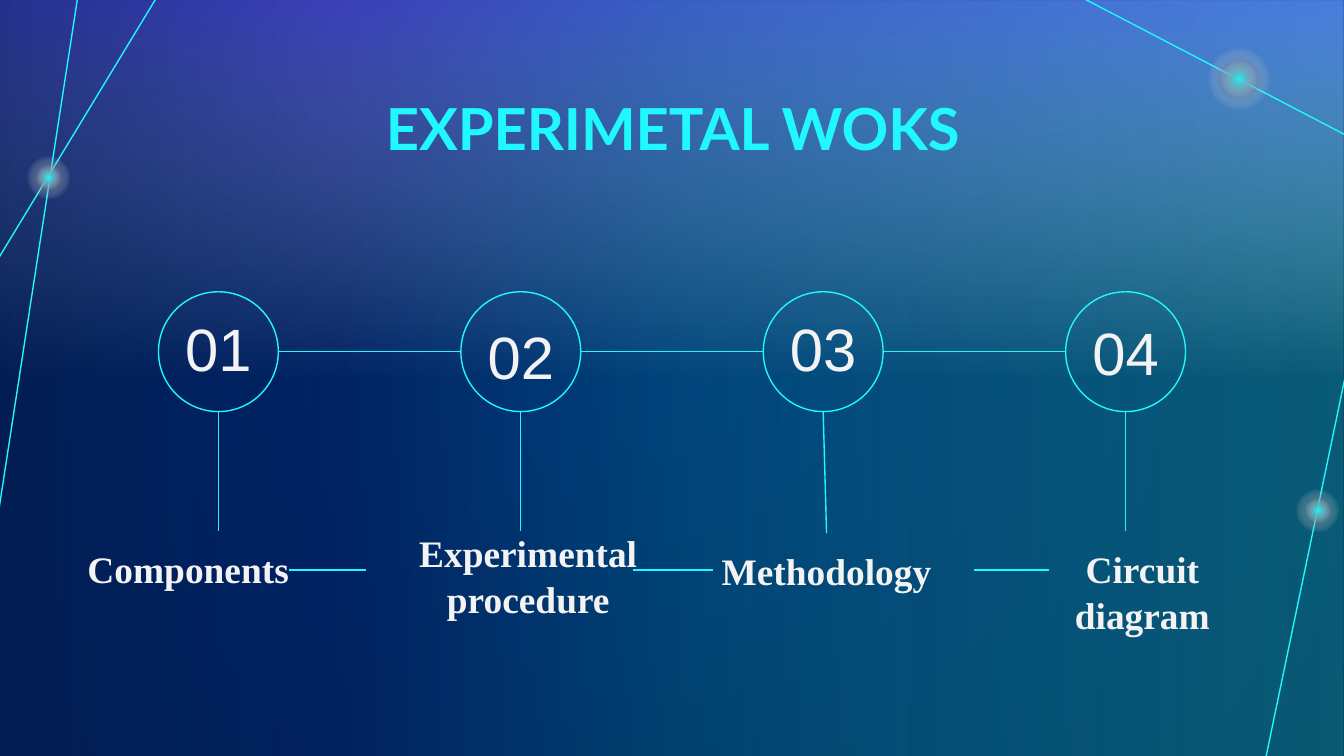
from lxml import etree
from pptx import Presentation
from pptx import util as u
from pptx.dml.color import RGBColor
from pptx.enum import shapes, text
from pptx.oxml.ns import qn

WIDTH, HEIGHT = 720, 405
CYAN, WHITE, NAVY, INK = "20F8FD", "F3F3F3", "012060", "00183A"
RADIAL = ('<a:path path="circle"><a:fillToRect l="50000" t="50000" '
          'r="50000" b="50000"/></a:path>')


def color(code):
    return RGBColor.from_string(code)


class Board:
    """Holds the style and the slide being drawn."""

    line_width = 0.75

    def __init__(self, slide):
        self.slide = slide

    def gradient(self, parent, stops, angle=None):
        """Swap the solid fill in parent for a linear or (no angle) radial one."""
        stop_xml = "".join(
            f'<a:gs pos="{pos * 1000}"><a:srgbClr val="{code}">'
            f'<a:alpha val="{opacity * 1000}"/></a:srgbClr></a:gs>'
            for pos, code, opacity in stops)
        shade = RADIAL if angle is None else f'<a:lin ang="{angle * 60000}" scaled="0"/>'
        fill = etree.fromstring(
            '<a:gradFill xmlns:a="http://schemas.openxmlformats.org/drawingml/2006/main" '
            f'rotWithShape="1"><a:gsLst>{stop_xml}</a:gsLst>{shade}</a:gradFill>')
        parent.replace(parent.find(qn("a:solidFill")), fill)

    def background(self, stops):
        self.slide.background.fill.solid()
        self.slide.background.fill.fore_color.rgb = color(INK)
        self.gradient(self.slide.element.find(".//" + qn("p:bgPr")), stops)

    def shape(self, kind, left, top, width, height, stops=None, angle=None):
        """A gradient shape without a line, or an outline when no stops are given."""
        item = self.slide.shapes.add_shape(
            kind, u.Pt(left), u.Pt(top), u.Pt(width), u.Pt(height))
        item.shadow.inherit = False
        if stops:
            item.fill.solid()
            self.gradient(item.element.spPr, stops, angle)
            item.line.fill.background()
        else:
            item.fill.background()
            item.line.color.rgb = color(CYAN)
            item.line.width = u.Pt(self.line_width)
        return item

    def circle(self, x, y, size, stops=None):
        return self.shape(shapes.MSO_SHAPE.OVAL, x - size / 2, y - size / 2,
                          size, size, stops)

    def glow(self, x, y, size):
        for code, scale in ((INK, 1), (CYAN, 0.59)):
            self.circle(x, y, size * scale,
                        [(0, code, 100), (50, WHITE, 0), (100, WHITE, 0)])

    def line(self, x1, y1, x2, y2):
        item = self.slide.shapes.add_connector(
            shapes.MSO_CONNECTOR.STRAIGHT, u.Pt(x1), u.Pt(y1), u.Pt(x2), u.Pt(y2))
        item.line.color.rgb = color(CYAN)
        item.line.width = u.Pt(self.line_width)
        etree.SubElement(item.element.spPr, qn("a:effectLst"))
        return item

    def set_text(self, item, words, size, font, code, bold, inset):
        frame = item.text_frame
        frame.word_wrap = True
        frame.auto_size = text.MSO_AUTO_SIZE.NONE
        frame.vertical_anchor = text.MSO_ANCHOR.TOP
        frame.margin_left = frame.margin_right = u.Pt(7.2)
        frame.margin_top = frame.margin_bottom = u.Pt(inset)
        frame.text = words
        paragraph = frame.paragraphs[0]
        paragraph.alignment = text.PP_ALIGN.CENTER
        paragraph.font.size = u.Pt(size)
        paragraph.font.name = font
        paragraph.font.bold = bold
        paragraph.font.color.rgb = color(code)
        return paragraph

    def title(self, words, left, top, width, height):
        heading = self.slide.shapes.title
        heading.left, heading.top = u.Pt(left), u.Pt(top)
        heading.width, heading.height = u.Pt(width), u.Pt(height)
        # The placeholder comes first in the tree: lift it above the backdrop
        heading.element.getparent().append(heading.element)
        self.set_text(heading, words, 31, "Lato", CYAN, True, 7.2)

    def textbox(self, left, top, width, height):
        return self.slide.shapes.add_textbox(
            u.Pt(left), u.Pt(top), u.Pt(width), u.Pt(height))

    def label(self, words, left, top):
        box = self.textbox(left, top, 135.4, 49.7)
        paragraph = self.set_text(box, words, 20, "Times New Roman", WHITE, True, 7.2)
        paragraph.line_spacing = 1.04
        return box

    def number(self, words, center, top, width):
        box = self.textbox(center - width / 2, top, width, 46)
        self.set_text(box, words, 32, "Arial", WHITE, False, 3.6)


def main():
    deck = Presentation()
    deck.slide_width, deck.slide_height = u.Pt(WIDTH), u.Pt(HEIGHT)
    board = Board(deck.slides.add_slide(deck.slide_layouts[5]))

    # Backdrop: dark ground under two translucent washes
    board.background([(0, NAVY, 100), (100, INK, 100)])
    washes = [
        ([(0, "748BFF", 0), (50, WHITE, 0), (100, "7659FF", 77)], 270),
        ([(0, CYAN, 29), (50, "0182AA", 36), (75, "022E88", 35), (100, NAVY, 60)], 180),
    ]
    for stops, angle in washes:
        board.shape(shapes.MSO_SHAPE.RECTANGLE, 0, 0, WIDTH, HEIGHT, stops, angle)

    # Corner rays and glowing points
    for ray in ((571, -5.8, 722.9, 73.4), (85.7, -4.3, -0.7, 138.2),
                (42.5, -7.2, -0.7, 273.6), (677.5, 409, 720.7, 201.6)):
        board.line(*ray)
    for point in ((26, 95, 33), (663.6, 42.3, 47.5), (706, 273.6, 33)):
        board.glow(*point)

    board.title("EXPERIMETAL WOKS", 56.9, 42.5, 607, 49.7)

    # Timeline: number, top and width of its box; label with its left and top
    steps = [
        ("01", 163.4, 362, "Components", 33.1, 284.4),
        ("02", 167.8, 394, "Experimental procedure", 215.3, 275.8),
        ("03", 163.4, 412.6, "Methodology", 375.1, 285.8),
        ("04", 165.6, 412.6, "Circuit diagram", 544.3, 284.4),
    ]
    first, pitch, axis, size = 117, 162, 188.4, 64.2
    radius = size / 2
    for index, (number, number_top, width, name, left, top) in enumerate(steps):
        center = first + index * pitch
        board.circle(center, axis, size)
        label = board.label(name, left, top)
        stem = board.line(center, axis + radius, center, 284.4)
        if name == "Methodology":
            stem.end_connect(label, 0)
        if index:
            board.line(center - pitch + radius, axis, center - radius, axis)
        board.number(number, center, number_top, width)

    # Dashes between the labels
    for start, end in ((154.8, 196), (339.1, 382), (522, 562)):
        board.line(start, 305.3, end, 305.3)

    deck.save("out.pptx")


if __name__ == "__main__":
    main()
